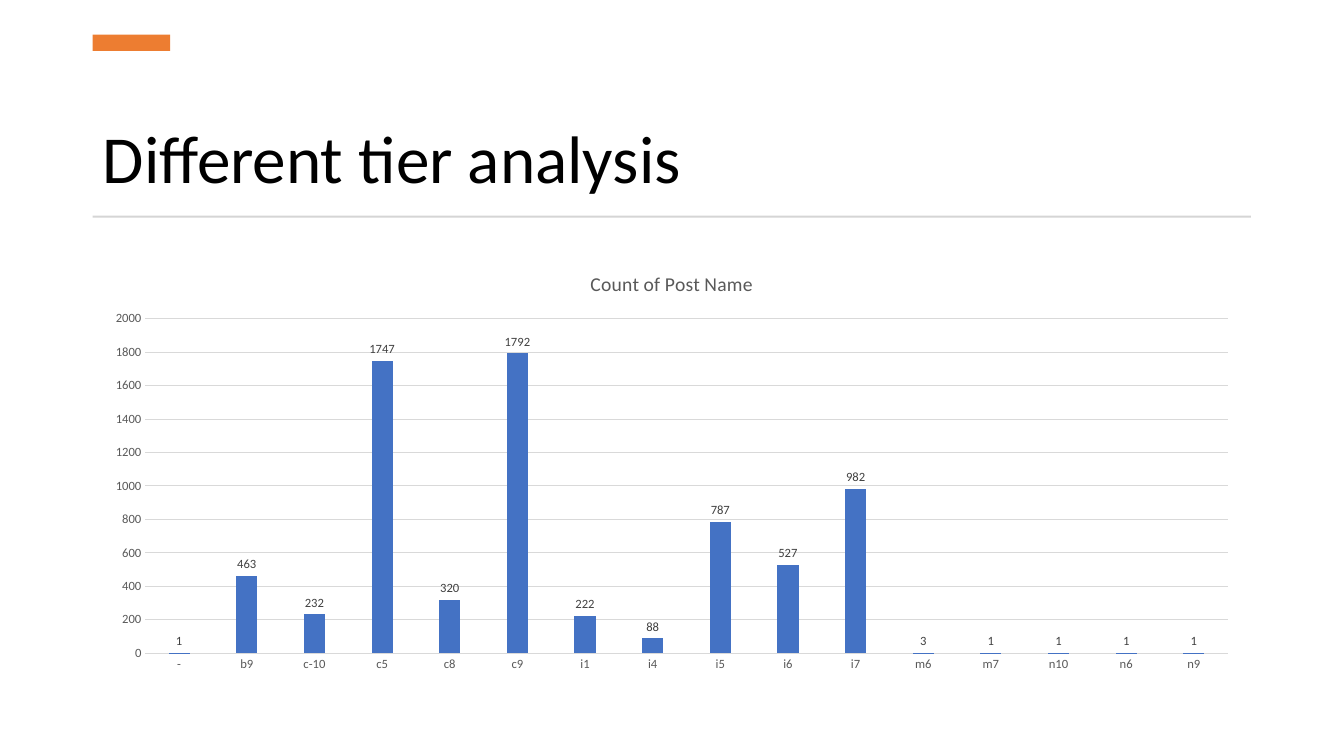
import pptx
import pptx.chart.data
import pptx.dml.color
import pptx.enum.chart
import pptx.enum.shapes
import pptx.enum.text
import pptx.util

Pt = pptx.util.Pt
FONT = "Calibri"
HUES = {
    "ink": "000000",
    "accent": "ED7D31",
    "rule": "D5D5D5",
    "bar": "4472C4",
    "grid": "D9D9D9",
    "axis": "595959",
    "label": "404040",
}
TIERS = {
    "-": 1, "b9": 463, "c-10": 232, "c5": 1747, "c8": 320, "c9": 1792,
    "i1": 222, "i4": 88, "i5": 787, "i6": 527, "i7": 982, "m6": 3,
    "m7": 1, "n10": 1, "n6": 1, "n9": 1,
}


def hue(name):
    return pptx.dml.color.RGBColor.from_string(HUES[name])


def style(font, size, name):
    font.name = FONT
    font.size = Pt(size)
    font.bold = False
    font.color.rgb = hue(name)


def stroke(line, name):
    line.color.rgb = hue(name)
    line.width = Pt(0.75)


def add_bar(slide, box, name):
    bar = slide.shapes.add_shape(
        pptx.enum.shapes.MSO_SHAPE.RECTANGLE, *map(Pt, box))
    bar.shadow.inherit = False
    bar.fill.solid()
    bar.fill.fore_color.rgb = hue(name)
    bar.line.fill.background()


def add_head(slide, box, text):
    left, top, width, height = box
    # Accent tab and rule
    add_bar(slide, (left, top, 55.4, 11.5), "accent")
    add_bar(slide, (left, top + height - 1.4, width, 1.4), "rule")
    # Title
    title = slide.shapes.title
    title.left, title.top = Pt(left), Pt(top + 29.2)
    title.width, title.height = Pt(width), Pt(91.4)
    frame = title.text_frame
    frame.word_wrap = True
    frame.auto_size = pptx.enum.text.MSO_AUTO_SIZE.NONE
    frame.vertical_anchor = pptx.enum.text.MSO_ANCHOR.BOTTOM
    para = frame.paragraphs[0]
    para.alignment = pptx.enum.text.PP_ALIGN.LEFT
    para.line_spacing = 0.9
    run = para.add_run()
    run.text = text
    style(run.font, 48, "ink")


def add_chart(slide, box, text, counts):
    data = pptx.chart.data.CategoryChartData()
    data.categories = list(counts)
    data.add_series("Series 1", list(counts.values()))
    kind = pptx.enum.chart.XL_CHART_TYPE.COLUMN_CLUSTERED
    chart = slide.shapes.add_chart(kind, *map(Pt, box), data).chart
    style(chart.font, 10, "ink")
    chart.has_legend = False

    # Chart title
    chart.has_title = True
    chart.chart_title.include_in_layout = False
    run = chart.chart_title.text_frame.paragraphs[0].add_run()
    run.text = text
    style(run.font, 14, "axis")

    # Axes
    cats, vals = chart.category_axis, chart.value_axis
    for axis in (cats, vals):
        axis.major_tick_mark = pptx.enum.chart.XL_TICK_MARK.NONE
        axis.minor_tick_mark = pptx.enum.chart.XL_TICK_MARK.NONE
        style(axis.tick_labels.font, 9, "axis")
    stroke(cats.format.line, "grid")
    vals.format.line.fill.background()
    vals.minimum_scale, vals.maximum_scale = 0, 2000
    vals.major_unit = 200
    vals.has_major_gridlines = True
    stroke(vals.major_gridlines.format.line, "grid")

    # Columns and value labels
    plot = chart.plots[0]
    plot.vary_by_categories = False
    plot.gap_width, plot.overlap = 219, -27
    bars = plot.series[0]
    bars.format.fill.solid()
    bars.format.fill.fore_color.rgb = hue("bar")
    labels = bars.data_labels
    labels.show_value = True
    labels.position = pptx.enum.chart.XL_LABEL_POSITION.OUTSIDE_END
    style(labels.font, 9, "label")


deck = pptx.Presentation()
deck.slide_width, deck.slide_height = Pt(960), Pt(540)
slide = deck.slides.add_slide(deck.slide_layouts.get_by_name("Title Only"))
add_head(slide, (66.2, 24.8, 827.3, 130.7), "Different tier analysis")
add_chart(slide, (66.2, 180.7, 827.3, 305.3), "Count of Post Name", TIERS)
deck.save("out.pptx")
